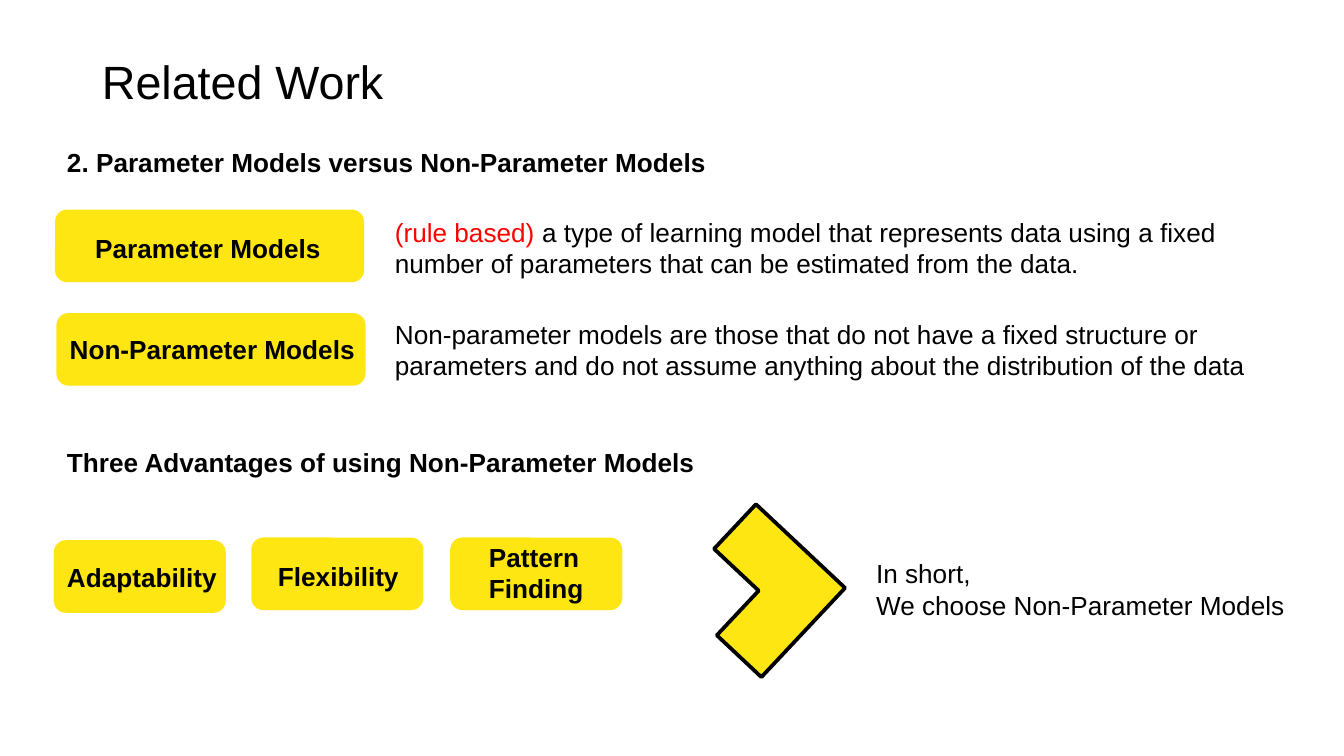
from dataclasses import dataclass

from pptx import Presentation
from pptx.dml.color import RGBColor
from pptx.enum.shapes import MSO_SHAPE
from pptx.enum.text import MSO_ANCHOR
from pptx.util import Inches, Pt


@dataclass(frozen=True)
class Theme:
    font: str = "Arial"
    ink: str = "000000"
    accent: str = "FF0000"
    yellow: str = "FEE612"
    title_size: int = 25
    body_size: int = 14
    outline: int = 2


THEME = Theme()
COLUMNS, ROWS = 100, 56.25
CELL = Inches(0.1)
PILL_HEIGHT = 5.4
MODEL_WIDTH, ADVANTAGE_WIDTH = 23, 12.8

MODELS = [
    {
        "pill": (4.1, 15.6),
        "label": "Parameter Models",
        "label_area": (6.1, 16.8, 19.3, 3.4),
        "lead": "(rule based) ",
        "meaning": "a type of learning model that represents data using a fixed "
        "number of parameters that can be estimated from the data.",
        "meaning_area": (28.4, 15.6, 64, 5.7),
    },
    {
        "pill": (4.2, 23.3),
        "label": "Non-Parameter Models",
        "label_area": (4.2, 24.3, 27.4, 3.4),
        "lead": "",
        "meaning": "Non-parameter models are those that do not have a fixed structure or "
        "parameters and do not assume anything about the distribution of the data",
        "meaning_area": (28.4, 23.2, 67, 5.7),
    },
]

ADVANTAGES = [
    ((4, 40.2), ["Adaptability"], (4, 41.3, 19.3, 3.4)),
    ((18.7, 40), ["Flexibility"], (19.7, 41.2, 11.3, 3.4)),
    ((33.5, 40), ["Pattern", "Finding"], (35.4, 39.8, 11.3, 5.7)),
]


def cells(*counts):
    return [round(count * CELL) for count in counts]


def style(target, values):
    for name, value in values.items():
        setattr(target, name, value)


def add_run(paragraph, words, size, bold, color):
    run = paragraph.add_run()
    run.text = words
    style(run.font, {"name": THEME.font, "size": Pt(size), "bold": bold})
    run.font.color.rgb = RGBColor.from_string(color)


def add_text(slide, area, lines, size=THEME.body_size, bold=False,
             inset=0.5, anchor=MSO_ANCHOR.TOP):
    frame = slide.shapes.add_textbox(*cells(*area)).text_frame
    side, edge = cells(1, inset)
    style(frame, {
        "word_wrap": True,
        "vertical_anchor": anchor,
        "margin_left": side,
        "margin_right": side,
        "margin_top": edge,
        "margin_bottom": edge,
    })
    for index, line in enumerate(lines):
        paragraph = frame.add_paragraph() if index else frame.paragraphs[0]
        runs = [(line, THEME.ink)] if isinstance(line, str) else line
        for words, color in runs:
            add_run(paragraph, words, size, bold, color)


def add_block(slide, kind, area):
    block = slide.shapes.add_shape(kind, *cells(*area))
    block.shadow.inherit = False
    block.fill.solid()
    block.fill.fore_color.rgb = RGBColor.from_string(THEME.yellow)
    block.line.fill.background()
    return block


def add_pill(slide, corner, width, label, label_area):
    add_block(slide, MSO_SHAPE.ROUNDED_RECTANGLE, (*corner, width, PILL_HEIGHT))
    add_text(slide, label_area, label, bold=True)


def add_chevron(slide, area, rotation):
    chevron = add_block(slide, MSO_SHAPE.CORNER, area)
    chevron.rotation = rotation
    chevron.line.color.rgb = RGBColor.from_string(THEME.ink)
    chevron.line.width = Pt(THEME.outline)


def add_heading(slide, area, words):
    add_text(slide, area, [words], bold=True, inset=1)


def main():
    deck = Presentation()
    deck.slide_width, deck.slide_height = cells(COLUMNS, ROWS)
    slide = deck.slides.add_slide(deck.slide_layouts[6])

    add_text(slide, (6.6, 2.9, 93.2, 6.3), ["Related Work"],
             size=THEME.title_size, inset=1, anchor=MSO_ANCHOR.MIDDLE)
    add_heading(slide, (4, 9.9, 55.2, 6.7),
                "2. Parameter Models versus Non-Parameter Models")
    for model in MODELS:
        add_pill(slide, model["pill"], MODEL_WIDTH, [model["label"]], model["label_area"])
        meaning = [(model["lead"], THEME.accent), (model["meaning"], THEME.ink)]
        add_text(slide, model["meaning_area"], [[run for run in meaning if run[0]]])

    add_heading(slide, (4, 32.2, 50.1, 9.1),
                "Three Advantages of using Non-Parameter Models")
    for corner, label, label_area in ADVANTAGES:
        add_pill(slide, corner, ADVANTAGE_WIDTH, label, label_area)

    add_chevron(slide, (51.9, 39.4, 9.1, 9.1), 223.2)
    add_text(slide, (64.2, 41, 35.6, 5.7), ["In short,", "We choose Non-Parameter Models"])
    deck.save("out.pptx")


if __name__ == "__main__":
    main()
